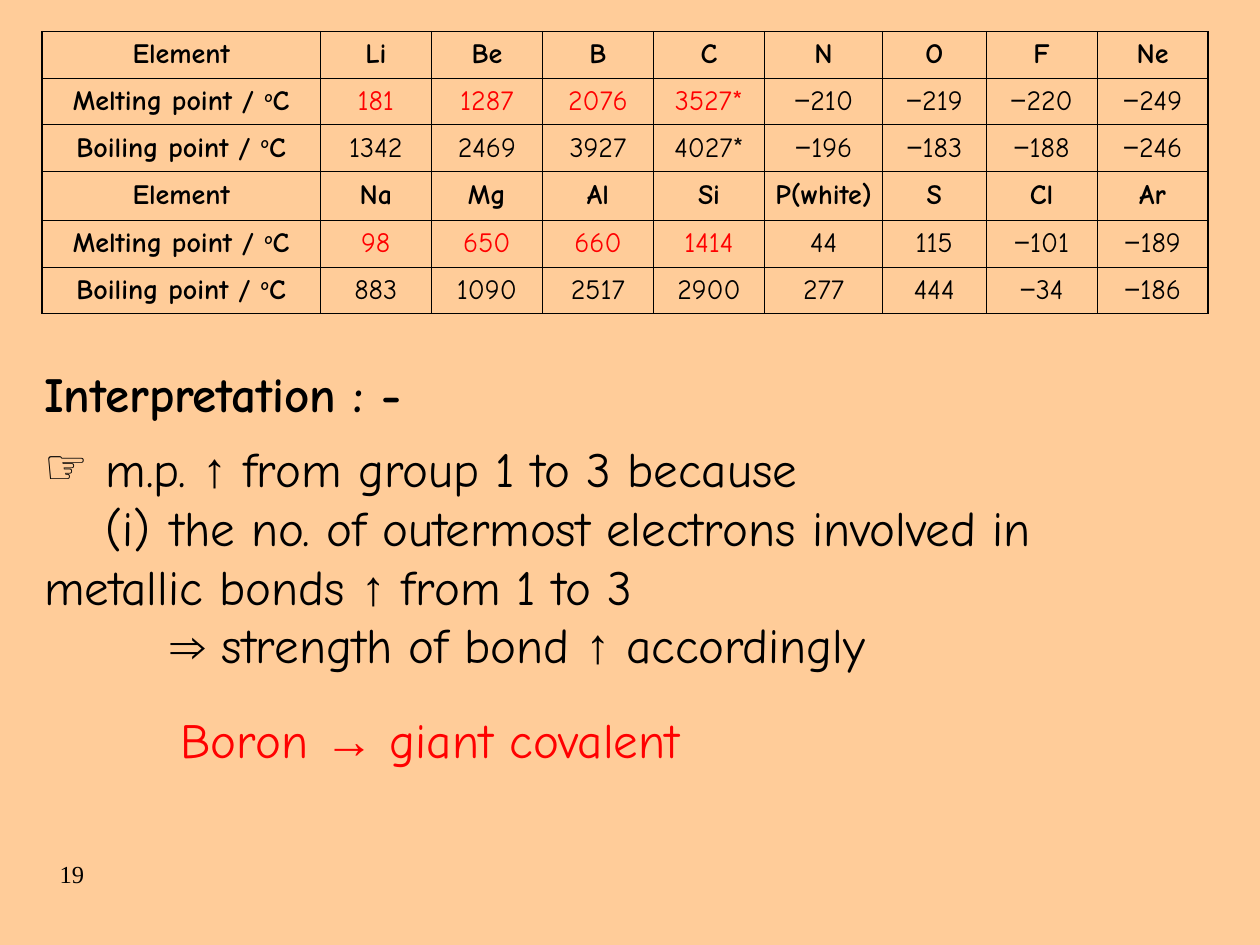
"""Build the slide on melting points across periods 2 and 3."""
from dataclasses import dataclass
from itertools import groupby

from lxml import etree
from pptx import Presentation
from pptx import util as u
from pptx.dml.color import RGBColor
from pptx.enum import text as t
from pptx.oxml.ns import qn

PEACH = RGBColor(0xFF, 0xCC, 0x99)
BLACK = RGBColor(0, 0, 0)
RED = RGBColor(0xFF, 0, 0)
FACE = "Comic Neue"
SIGNS = "−↑⇒→"
UNIT = u.Inches(10) // 120
LEFT, MID = t.PP_ALIGN.LEFT, t.PP_ALIGN.CENTER
COLS = [26.5, *[10.58] * 4, 11.25, 9.84, 10.58, 10.58]
ROWS = [4.44, 4.44, 4.44, 4.68, 4.44, 4.44]
MELT, BOIL = "Melting point / |o|C", "Boiling point / |o|C"
DATA = [
    ["Element", "Li", "Be", "B", "C", "N", "O", "F", "Ne"],
    [MELT, "181", "1287", "2076", "3527*", "−210", "−219", "−220", "−249"],
    [BOIL, "1342", "2469", "3927", "4027*", "−196", "−183", "−188", "−246"],
    ["Element", "Na", "Mg", "Al", "Si", "P(white)", "S", "Cl", "Ar"],
    [MELT, "98", "650", "660", "1414", "44", "115", "−101", "−189"],
    [BOIL, "883", "1090", "2517", "2900", "277", "444", "−34", "−186"],
]


@dataclass
class Box:
    """A place on the grid of 120 by 90 units."""
    x: float
    y: float
    w: float
    h: float


@dataclass
class Line:
    """A paragraph with its look, its indents in inches and its bullet."""
    words: str
    size: int = 28
    bold: bool = False
    tint: RGBColor = BLACK
    face: str = FACE
    align: t.PP_ALIGN = LEFT
    left: float = 0
    first: float = 0
    mark: str = ""


def grid(n: float) -> u.Emu:
    """Turn grid units into a length."""
    return u.Emu(round(n * UNIT))


def put(item, vals: dict) -> None:
    """Set each named value on the item."""
    for key, val in vals.items():
        setattr(item, key, val)


def place(shape, box: Box) -> None:
    """Move a shape to its box."""
    put(shape, {"left": grid(box.x), "top": grid(box.y),
                "width": grid(box.w), "height": grid(box.h)})


def write(par, line: Line) -> None:
    """Fill a paragraph; bars in the words enclose a superscript."""
    put(par, {"alignment": line.align, "space_before": u.Pt(0)})
    prop = par._p.get_or_add_pPr()
    prop.set("marL", str(u.Inches(line.left)))
    prop.set("indent", str(u.Inches(line.first)))
    if line.mark:
        etree.SubElement(prop, qn("a:buChar"), char=line.mark)
    else:
        etree.SubElement(prop, qn("a:buNone"))
    if "\t" in line.words:
        tabs = etree.SubElement(prop, qn("a:tabLst"))
        etree.SubElement(tabs, qn("a:tab"), pos=str(u.Inches(1)), algn="l")
    for n, part in enumerate(line.words.split("|")):
        for sign, chars in groupby(part, lambda c: c in SIGNS):
            run = par.add_run()
            run.text = "".join(chars)
            put(run.font, {"name": "Arial" if sign else line.face,
                           "size": u.Pt(line.size), "bold": line.bold})
            run.font.color.rgb = line.tint
            if n % 2:
                run.font._element.set("baseline", "30000")


def fill(shape, box: Box, lines: list[Line]) -> None:
    """Place a text shape and write its lines."""
    place(shape, box)
    frame = shape.text_frame
    put(frame, {"word_wrap": True, "vertical_anchor": t.MSO_ANCHOR.TOP,
                "auto_size": t.MSO_AUTO_SIZE.SHAPE_TO_FIT_TEXT})
    for n, line in enumerate(lines):
        write(frame.add_paragraph() if n else frame.paragraphs[0], line)


def edge(cell, row: int, col: int) -> None:
    """Rule a cell, heavier around each period and the label column."""
    heavy = {"L": col < 2, "R": col in (0, 8),
             "T": row in (0, 3), "B": row in (2, 5)}
    prop = cell._tc.get_or_add_tcPr()
    for side, bold in heavy.items():
        rule = etree.SubElement(prop, qn(f"a:ln{side}"),
                                w=str(u.Pt(0.75 if bold else 0.45)))
        solid = etree.SubElement(rule, qn("a:solidFill"))
        etree.SubElement(solid, qn("a:srgbClr"), val=str(BLACK))


def chart(slide, box: Box) -> None:
    """Draw the table of melting and boiling points."""
    table = slide.shapes.add_table(len(ROWS), len(COLS), grid(box.x), grid(box.y),
                                   grid(box.w), grid(box.h)).table
    put(table, {"first_row": False, "horz_banding": False})
    for col, wide in zip(table.columns, COLS):
        col.width = grid(wide)
    for row, high in zip(table.rows, ROWS):
        row.height = grid(high)
    for r, vals in enumerate(DATA):
        for c, val in enumerate(vals):
            cell = table.cell(r, c)
            put(cell, {"margin_left": u.Inches(0.02), "margin_right": u.Inches(0.02),
                       "vertical_anchor": t.MSO_ANCHOR.MIDDLE})
            edge(cell, r, c)
            cell.fill.background()
            hot = r % 3 == 1 and 1 <= c <= 4
            write(cell.text_frame.paragraphs[0],
                  Line(val, 16, r % 3 == 0 or c == 0, RED if hot else BLACK, align=MID))


def main() -> None:
    """Build and save the slide."""
    deck = Presentation()
    put(deck, {"slide_width": grid(120), "slide_height": grid(90)})
    slide = deck.slides.add_slide(deck.slide_layouts[1])
    slide.background.fill.solid()
    slide.background.fill.fore_color.rgb = PEACH
    chart(slide, Box(4, 3, 111, 26.88))
    head, body = slide.placeholders
    fill(head, Box(3, 34, 55, 6.84), [Line("Interpretation : -", bold=True)])
    fill(body, Box(3, 41.16, 117, 23.64), [
        Line("m.p. ↑ from group 1 to 3 because", left=0.49, first=-0.49, mark="☞"),
        Line("(i)\tthe no. of outermost electrons involved in", first=0.49),
        Line("metallic bonds ↑ from 1 to 3"),
        Line("⇒ strength of bond ↑ accordingly", first=1)])
    for box, line in (
            (Box(16, 67, 55, 6.84), Line("Boron → giant covalent", tint=RED)),
            (Box(4.5, 81.24, 17, 6), Line("19", 14, face="Times New Roman"))):
        fill(slide.shapes.add_textbox(0, 0, 0, 0), box, [line])
    deck.save("out.pptx")


if __name__ == "__main__":
    main()
